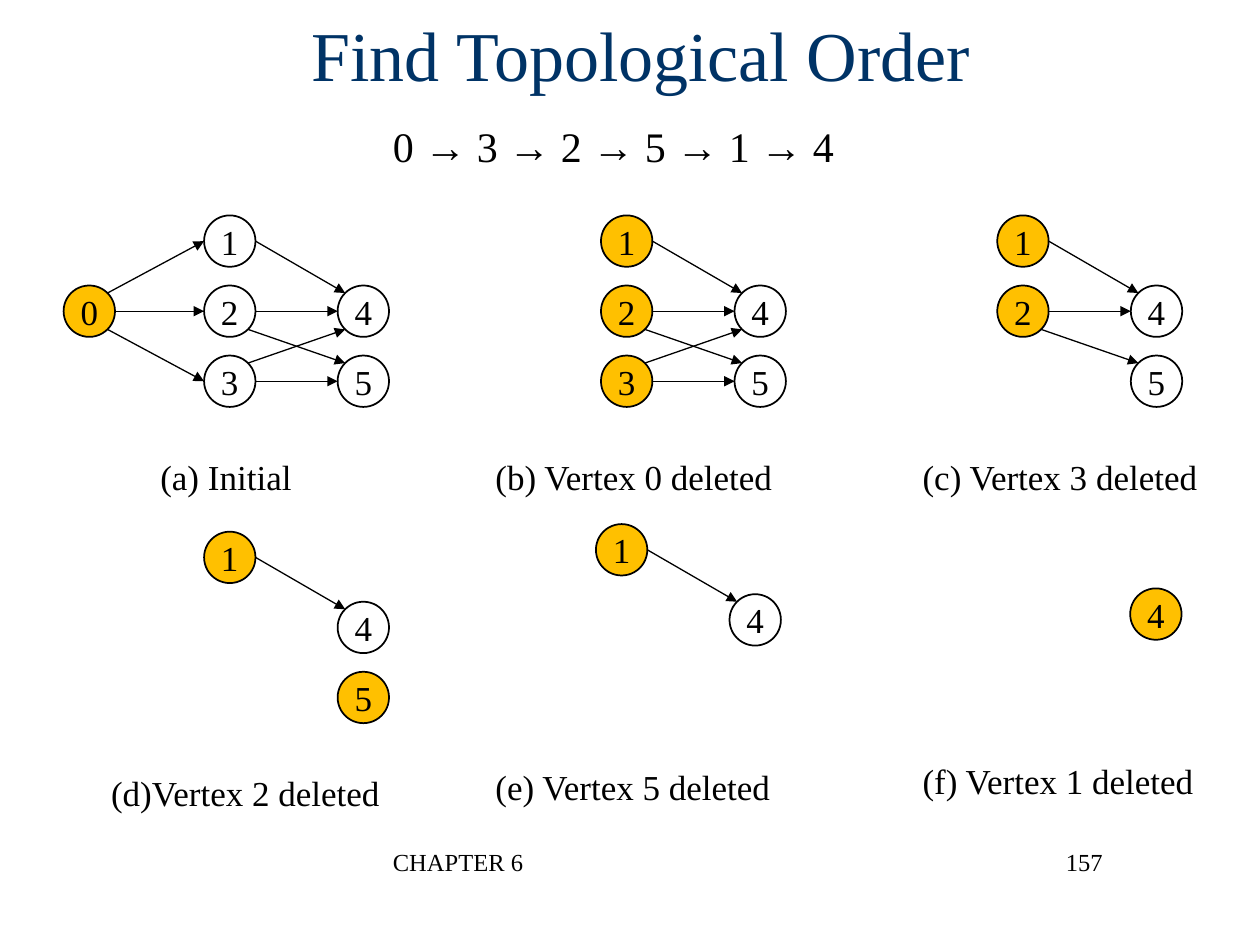
"""Build the slide that finds a topological order by deleting vertices."""
from dataclasses import dataclass
from math import sqrt

from lxml.etree import SubElement
from pptx import Presentation
from pptx.dml.color import RGBColor
from pptx.enum.shapes import MSO_CONNECTOR as Connector, MSO_SHAPE as Preset
from pptx.enum.text import MSO_ANCHOR as Anchor, PP_ALIGN as Align
from pptx.oxml.ns import qn
from pptx.slide import Slide
from pptx.text.text import TextFrame
from pptx.util import Inches, Pt

COLORS = {"ink": "000000", "title": "003366", "ready": "FFC000", "waiting": "FFFFFF"}
FONT = "Times New Roman"
CELL = Inches(0.1)
DIAMETER = 4.08
ROW_STEP = 5.56
DIAGONAL = sqrt(0.5)

LATTICE = {
    "0": (-11.15, 1), "1": (0, 0), "2": (0, 1),
    "3": (0, 2), "4": (10.6, 1), "5": (10.6, 2),
}
SIDES = {
    "left": (-1, 0), "right": (1, 0),
    "top left": (-DIAGONAL, -DIAGONAL), "top right": (DIAGONAL, -DIAGONAL),
    "bottom left": (-DIAGONAL, DIAGONAL), "bottom right": (DIAGONAL, DIAGONAL),
}


@dataclass(frozen=True)
class Box:
    left: float
    top: float
    width: float
    height: float = 5


@dataclass(frozen=True)
class Edge:
    source: str
    leaves: str
    target: str
    enters: str


@dataclass(frozen=True)
class Stage:
    caption: str
    caption_box: Box
    left: float
    top: float
    vertices: str
    ready: str

    def corner(self, vertex: str) -> tuple[float, float]:
        """Give the left and top of a vertex in grid cells."""
        column, row = LATTICE[vertex]
        return self.left + column, self.top + row * ROW_STEP

    def port(self, vertex: str, side: str) -> tuple[float, float]:
        """Give the point on a vertex's rim where an edge ends."""
        radius = DIAMETER / 2
        left, top = self.corner(vertex)
        across, down = SIDES[side]
        return left + radius * (1 + across), top + radius * (1 + down)


EDGES = [
    Edge("0", "top right", "1", "left"),
    Edge("0", "right", "2", "left"),
    Edge("0", "bottom right", "3", "left"),
    Edge("2", "right", "4", "left"),
    Edge("3", "right", "5", "left"),
    Edge("1", "right", "4", "top left"),
    Edge("2", "bottom right", "5", "top left"),
    Edge("3", "top right", "4", "bottom left"),
]
STAGES = [
    Stage("(a) Initial", Box(10.9, 35.1, 19.5), 16.2, 17.1, "012345", "0"),
    Stage("(b) Vertex 0 deleted", Box(37.5, 35.1, 26.8), 47.7, 17.1, "12345", "123"),
    Stage("(c) Vertex 3 deleted", Box(71.4, 35.1, 25.2), 79.15, 17.1, "1245", "12"),
    Stage("(d)Vertex 2 deleted", Box(7, 60.2, 27), 16.2, 42.2, "145", "15"),
    Stage("(e) Vertex 5 deleted", Box(37.5, 59.7, 30.2), 47.3, 41.6, "14", "1"),
    Stage("(f) Vertex 1 deleted", Box(71.4, 59.2, 26.1), 79.1, 41.14, "4", "4"),
]


def cells(*lengths: float) -> list[int]:
    """Turn grid cells into slide units."""
    return [round(length * CELL) for length in lengths]


def color(name: str) -> RGBColor:
    """Look up a named colour."""
    return RGBColor.from_string(COLORS[name])


def write(frame: TextFrame, runs: list[tuple[str, int]], align: Align = Align.LEFT,
          ink: str = "ink") -> None:
    """Fill the first paragraph of a frame run by run."""
    paragraph = frame.paragraphs[0]
    paragraph.alignment = align
    for text, size in runs:
        run = paragraph.add_run()
        run.text = text
        run.font.name = FONT
        run.font.size = Pt(size)
        run.font.color.rgb = color(ink)


def add_label(slide: Slide, box: Box, runs: list[tuple[str, int]],
              align: Align = Align.LEFT) -> None:
    """Add a wrapped text box."""
    shape = slide.shapes.add_textbox(*cells(box.left, box.top, box.width, box.height))
    shape.text_frame.word_wrap = True
    write(shape.text_frame, runs, align)


def add_vertex(slide: Slide, stage: Stage, vertex: str) -> None:
    """Draw a numbered vertex, coloured when it has no predecessor."""
    left, top = stage.corner(vertex)
    shape = slide.shapes.add_shape(Preset.OVAL, *cells(left, top, DIAMETER, DIAMETER))
    shape.shadow.inherit = False
    shape.fill.solid()
    shape.fill.fore_color.rgb = color("ready" if vertex in stage.ready else "waiting")
    shape.line.color.rgb = color("ink")
    shape.line.width = Pt(1)
    shape.text_frame.word_wrap = False
    shape.text_frame.vertical_anchor = Anchor.MIDDLE
    write(shape.text_frame, [(vertex, 20)], Align.CENTER)


def add_edge(slide: Slide, stage: Stage, edge: Edge) -> None:
    """Draw an arrow between two vertices of a stage."""
    start = stage.port(edge.source, edge.leaves)
    end = stage.port(edge.target, edge.enters)
    connector = slide.shapes.add_connector(Connector.STRAIGHT, *cells(*start, *end))
    connector.line.color.rgb = color("ink")
    connector.line.width = Pt(0.75)
    SubElement(connector.line._get_or_add_ln(), qn("a:tailEnd"), type="triangle")
    SubElement(connector._element.spPr, qn("a:effectLst"))


def add_stage(slide: Slide, stage: Stage) -> None:
    """Draw the graph that remains at one stage, with its caption."""
    for vertex in stage.vertices:
        add_vertex(slide, stage, vertex)
    for edge in EDGES:
        if edge.source in stage.vertices and edge.target in stage.vertices:
            add_edge(slide, stage, edge)
    add_label(slide, stage.caption_box, [(" ", 24), (stage.caption, 20)])


def add_title(slide: Slide, text: str) -> None:
    """Place and format the title."""
    title = slide.shapes.title
    title.left, title.top, title.width, title.height = cells(5.1, -2, 91.5, 12.5)
    title.text_frame.vertical_anchor = Anchor.MIDDLE
    write(title.text_frame, [(text, 40)], Align.CENTER, "title")


def main() -> None:
    """Build and save the slide."""
    presentation = Presentation()
    presentation.slide_width, presentation.slide_height = cells(100, 75)
    slide = presentation.slides.add_slide(presentation.slide_layouts[5])
    add_title(slide, "Find Topological Order")
    add_label(slide, Box(30.2, 9.1, 39.8), [("0 → 3 → 2 → 5 → 1 → 4", 24)])
    for stage in STAGES:
        add_stage(slide, stage)
    add_label(slide, Box(30.2, 66.7, 31.7), [("CHAPTER 6", 14)])
    add_label(slide, Box(67.7, 66.7, 20.8), [("157", 14)], Align.RIGHT)
    presentation.save("out.pptx")


if __name__ == "__main__":
    main()
